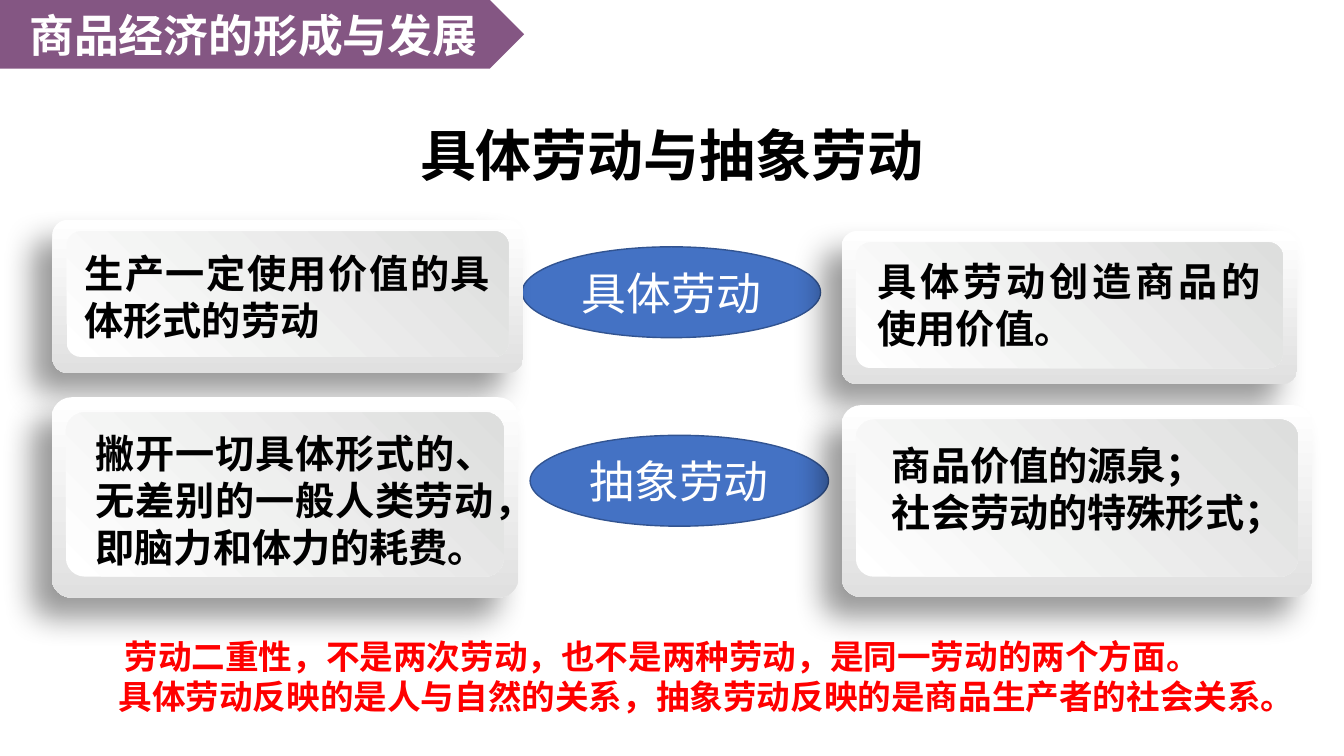
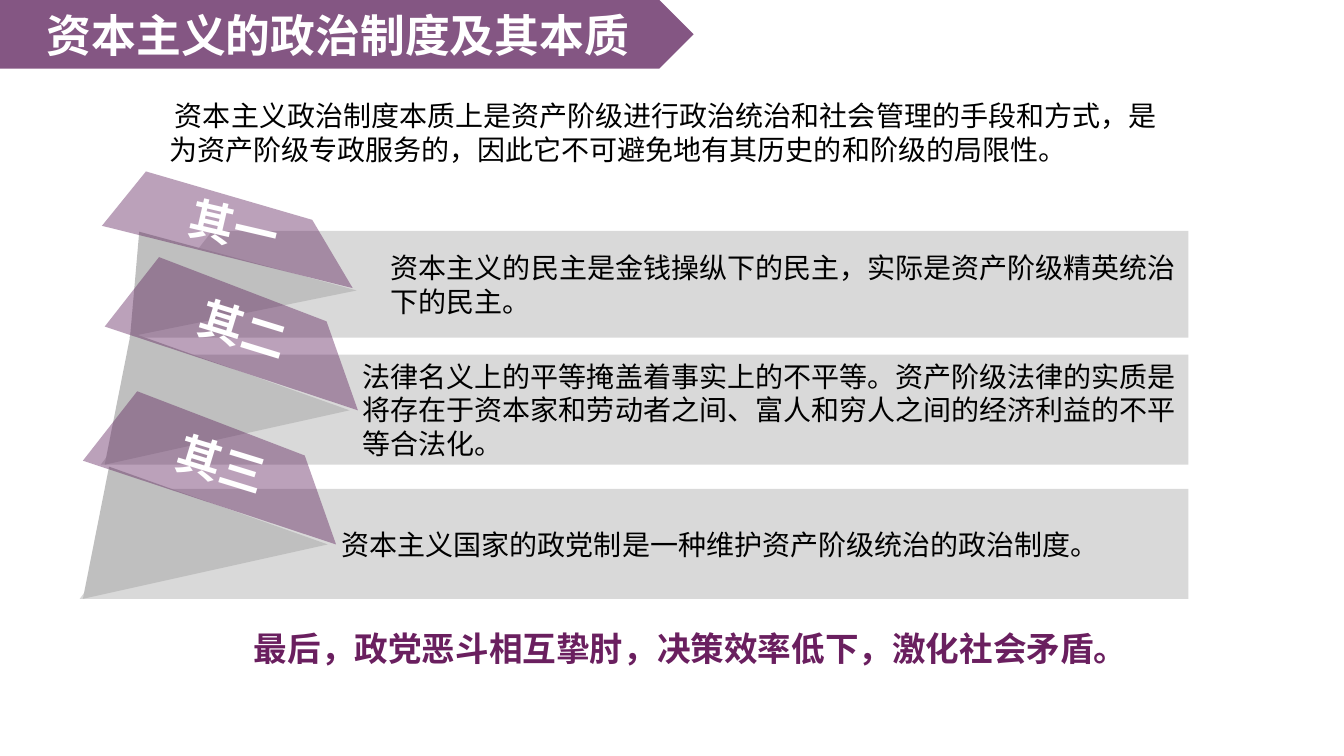
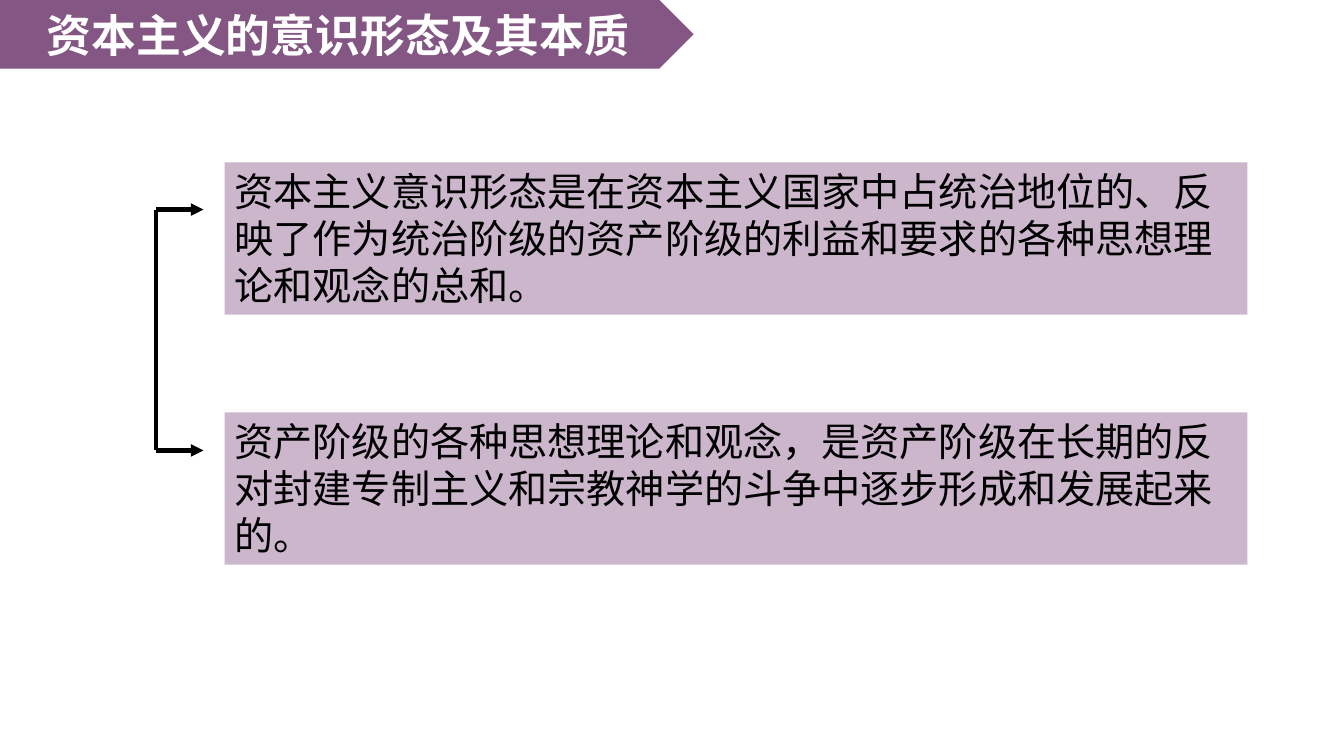
import math
from dataclasses import dataclass
from typing import Optional

import pptx
import pptx.dml.color
import pptx.enum.dml
import pptx.enum.lang
import pptx.enum.shapes
import pptx.enum.text
import pptx.oxml
import pptx.oxml.ns
import pptx.oxml.xmlchemy
import pptx.shapes.autoshape
import pptx.slide
import pptx.util
from pptx.util import Cm

RGBColor = pptx.dml.color.RGBColor
Align = pptx.enum.text.PP_ALIGN
Anchor = pptx.enum.text.MSO_ANCHOR
Preset = pptx.enum.shapes.MSO_SHAPE
Shape = pptx.shapes.autoshape.Shape
Slide = pptx.slide.Slide
Point = tuple[float, float]
qn = pptx.oxml.ns.qn

BLACK = RGBColor(0x00, 0x00, 0x00)
WHITE = RGBColor(0xFF, 0xFF, 0xFF)
RED = RGBColor(0xFF, 0x00, 0x00)
BLUE = RGBColor(0x44, 0x72, 0xC4)
DARK_BLUE = RGBColor(0x32, 0x54, 0x91)
PURPLE = RGBColor(0x5A, 0x1B, 0x58)
MAUVE = RGBColor(0x7F, 0x49, 0x80)
PLUM = RGBColor(0x6A, 0x1F, 0x5F)
PANEL_GRAY = RGBColor(0xD9, 0xD9, 0xD9)
FOLD_GRAY = RGBColor(0xBF, 0xBF, 0xBF)
CARD_EDGE = RGBColor(0xE0, 0xE0, 0xE0)
CARD_FACE = RGBColor(0xDD, 0xDE, 0xDD)

CHINESE_FONT = "Noto Sans CJK SC"
BAND_HEIGHT = 1.73
LINE_FACTOR = 1.2


@dataclass(frozen=True)
class Box:
    """A rectangle in centimetres."""
    left: float
    top: float
    width: float
    height: float

    def lengths(self) -> tuple[Cm, Cm, Cm, Cm]:
        return Cm(self.left), Cm(self.top), Cm(self.width), Cm(self.height)


@dataclass(frozen=True)
class TextStyle:
    size: float
    color: RGBColor = BLACK
    bold: bool = False
    align: Align = Align.LEFT
    font: str = CHINESE_FONT
    multiline: bool = True
    first_indent: float = 0


@dataclass(frozen=True)
class Card:
    outer: Box
    text_box: Box
    paragraphs: tuple[str, ...]
    font: str = CHINESE_FONT


@dataclass(frozen=True)
class Ribbon:
    """A grey panel with a folded purple tag at its left end."""
    label: str
    text: str
    panel_left: float
    panel_top: float
    panel_height: float
    fold: list[Point]
    tag: list[Point]
    angle: float


TITLE = TextStyle(32, WHITE, True, Align.CENTER, multiline=False)
HEADING = TextStyle(40, BLACK, True, Align.CENTER)
OVAL_LABEL = TextStyle(32, WHITE, align=Align.CENTER, multiline=False)
CONCLUSION = TextStyle(24, RED, True)
PANEL_TEXT = TextStyle(20)
INTRODUCTION = TextStyle(20, first_indent=0.15)
CLOSING = TextStyle(24, PLUM, True)
STATEMENT = TextStyle(28, font="Arial")


def write_text(shape: Shape, paragraphs: tuple[str, ...], style: TextStyle) -> None:
    frame = shape.text_frame
    frame.word_wrap = True
    for index, text in enumerate(paragraphs):
        paragraph = frame.paragraphs[0] if index == 0 else frame.add_paragraph()
        paragraph.alignment = style.align
        if style.multiline:
            paragraph.line_spacing = pptx.util.Pt(style.size * LINE_FACTOR)
        if style.first_indent and index == 0:
            paragraph._p.get_or_add_pPr().set("indent", str(Cm(style.first_indent)))
        run = paragraph.add_run()
        run.text = text
        font = run.font
        font.size = pptx.util.Pt(style.size)
        font.bold = style.bold
        font.color.rgb = style.color
        font.name = style.font
        font.language_id = pptx.enum.lang.MSO_LANGUAGE_ID.SIMPLIFIED_CHINESE
        east_asian = pptx.oxml.parse_xml(
            f'<a:ea {pptx.oxml.ns.nsdecls("a")} typeface="{CHINESE_FONT}"/>')
        run._r.rPr.find(qn("a:latin")).addnext(east_asian)


def add_text(slide: Slide, box: Box, paragraphs: tuple[str, ...], style: TextStyle) -> None:
    write_text(slide.shapes.add_textbox(*box.lengths()), paragraphs, style)


def paint(shape: Shape, color: RGBColor, opacity: Optional[int] = None) -> None:
    """Give a plain fill without outline or shadow; opacity is in percent."""
    shape.shadow.inherit = False
    shape.fill.solid()
    shape.fill.fore_color.rgb = color
    shape.line.fill.background()
    if opacity is not None:
        shape.element.spPr.find(".//" + qn("a:srgbClr")).append(pptx.oxml.parse_xml(
            f'<a:alpha {pptx.oxml.ns.nsdecls("a")} val="{opacity * 1000}"/>'))


def paint_gradient(shape: Shape, end: RGBColor, angle: float) -> None:
    shape.shadow.inherit = False
    shape.line.fill.background()
    shape.fill.gradient()
    shape.fill.gradient_angle = angle
    for stop, color in zip(shape.fill.gradient_stops, (WHITE, end)):
        stop.color.rgb = color


def add_title_slide(presentation: pptx.presentation.Presentation, title: str,
                    band_width: float) -> Slide:
    """Add a slide whose title stands on an arrow-shaped band."""
    slide = presentation.slides.add_slide(presentation.slide_layouts[5])
    band = slide.shapes.add_shape(
        Preset.PENTAGON, *Box(0, 0, band_width, BAND_HEIGHT).lengths())
    paint(band, PURPLE, 74)
    placeholder = slide.shapes.title
    placeholder.element.addprevious(band.element)
    text_area = Box(0, 0, band_width - BAND_HEIGHT / 4, BAND_HEIGHT)
    (placeholder.left, placeholder.top,
     placeholder.width, placeholder.height) = text_area.lengths()
    placeholder.text_frame.vertical_anchor = Anchor.MIDDLE
    write_text(placeholder, (title,), TITLE)
    return slide


def add_oval(slide: Slide, left: float, top: float, label: str) -> None:
    oval = slide.shapes.add_shape(Preset.OVAL, *Box(left, top, 7.52, 2.29).lengths())
    paint(oval, BLUE)
    oval.line.color.rgb = DARK_BLUE
    oval.line.width = pptx.util.Pt(1)
    oval.text_frame.vertical_anchor = Anchor.MIDDLE
    write_text(oval, (label,), OVAL_LABEL)


def add_card(slide: Slide, card: Card) -> None:
    """Draw a raised card: shadowed frame, inner face and text."""
    outer = card.outer
    frame = slide.shapes.add_shape(Preset.ROUNDED_RECTANGLE, *outer.lengths())
    frame.adjustments[0] = 0.1
    paint_gradient(frame, CARD_EDGE, 270)
    frame.element.spPr.find(qn("a:effectLst")).append(pptx.oxml.parse_xml(
        f'<a:outerShdw {pptx.oxml.ns.nsdecls("a")} blurRad="{pptx.util.Pt(22)}" '
        f'dist="{pptx.util.Pt(20)}" dir="8100000" algn="tr" rotWithShape="0">'
        '<a:srgbClr val="000000"><a:alpha val="40000"/></a:srgbClr></a:outerShdw>'))
    margin = 0.36
    inner = Box(outer.left + margin, outer.top + 0.075 * outer.height,
                outer.width - 2 * margin, 0.82 * outer.height)
    face = slide.shapes.add_shape(Preset.ROUNDED_RECTANGLE, *inner.lengths())
    face.adjustments[0] = 0.115
    paint_gradient(face, CARD_FACE, 45)
    add_text(slide, card.text_box, card.paragraphs,
             TextStyle(28, BLACK, True, Align.JUSTIFY, card.font))


def add_polygon(slide: Slide, points: list[Point], color: RGBColor,
                opacity: Optional[int] = None) -> Shape:
    corners = [(Cm(x), Cm(y)) for x, y in points]
    builder = slide.shapes.build_freeform(*corners[0])
    builder.add_line_segments(corners[1:], close=True)
    polygon = builder.convert_to_shape()
    paint(polygon, color, opacity)
    return polygon


def rotate(point: Point, degrees: float) -> Point:
    angle = math.radians(degrees)
    x, y = point
    return (x * math.cos(angle) - y * math.sin(angle),
            x * math.sin(angle) + y * math.cos(angle))


def shift(points: list[Point], across: float, down: float) -> list[Point]:
    return [(x + across, y + down) for x, y in points]


def level(points: list[Point], degrees: float) -> list[Point]:
    """Turn points back so that rotating their shape by degrees restores them."""
    turned = [rotate(point, -degrees) for point in points]
    columns, rows = zip(*turned)
    center = ((min(columns) + max(columns)) / 2, (min(rows) + max(rows)) / 2)
    target = rotate(center, degrees)
    return shift(turned, target[0] - center[0], target[1] - center[1])


def add_ribbon(slide: Slide, ribbon: Ribbon) -> None:
    right, slant = 29.95, 2.1
    left, top = ribbon.panel_left, ribbon.panel_top
    bottom = top + ribbon.panel_height
    panel = add_polygon(slide, [(left + slant, top), (right, top),
                                (right, bottom), (left, bottom)], PANEL_GRAY)
    frame = panel.text_frame
    frame.vertical_anchor = Anchor.MIDDLE
    frame.margin_left, frame.margin_right = Cm(6.6), Cm(0.3)
    frame.margin_top = frame.margin_bottom = Cm(0.2)
    write_text(panel, (ribbon.text,), PANEL_TEXT)

    add_polygon(slide, ribbon.fold, FOLD_GRAY)

    tag = add_polygon(slide, level(ribbon.tag, ribbon.angle), PURPLE, 41)
    tag.rotation = ribbon.angle
    frame = tag.text_frame
    frame.vertical_anchor = Anchor.MIDDLE
    frame.margin_left = frame.margin_right = frame.margin_top = frame.margin_bottom = 0
    write_text(tag, (ribbon.label,), TITLE)


def add_line(slide: Slide, start: Point, end: Point, arrow: bool = False) -> None:
    connector = slide.shapes.add_connector(
        pptx.enum.shapes.MSO_CONNECTOR.STRAIGHT,
        Cm(start[0]), Cm(start[1]), Cm(end[0]), Cm(end[1]))
    connector.line.color.rgb = BLACK
    connector.line.width = pptx.util.Pt(3)
    namespace = pptx.oxml.ns.nsdecls("a")
    if arrow:
        connector.line._get_or_add_ln().append(
            pptx.oxml.parse_xml(f'<a:tailEnd {namespace} type="triangle"/>'))
    connector.element.spPr.append(pptx.oxml.parse_xml(f"<a:effectLst {namespace}/>"))


def build_labour_slide(presentation: pptx.presentation.Presentation) -> None:
    slide = add_title_slide(presentation, "商品经济的形成与发展", 13.21)
    add_text(slide, Box(9.93, 2.9, 14, 1.96), ("具体劳动与抽象劳动",), HEADING)
    add_oval(slide, 13.16, 6.22, "具体劳动")
    add_oval(slide, 13.36, 10.97, "抽象劳动")
    cards = (
        Card(Box(1.32, 5.54, 11.86, 3.86), Box(1.88, 6.15, 10.72, 2.64),
             ("生产一定使用价值的具体形式的劳动",)),
        Card(Box(21.21, 5.82, 11.48, 3.86), Box(21.87, 6.35, 10.16, 2.64),
             ("具体劳动创造商品的使用价值。",)),
        Card(Box(1.3, 10.01, 11.76, 5.05), Box(2.16, 10.69, 10.57, 3.84),
             ("撇开一切具体形式的、无差别的一般人类劳动，即脑力和体力的耗费。",)),
        Card(Box(21.21, 10.21, 11.86, 4.83), Box(22.23, 11, 10.49, 2.64),
             ("商品价值的源泉；", "社会劳动的特殊形式；"), "Times New Roman"),
    )
    for card in cards:
        add_card(slide, card)
    add_text(slide, Box(2.74, 15.9, 30.43, 2.31),
             ("劳动二重性，不是两次劳动，也不是两种劳动，是同一劳动的两个方面。",
              "具体劳动反映的是人与自然的关系，抽象劳动反映的是商品生产者的社会关系。"),
             TextStyle(24, RED, True, first_indent=0.15))


def build_politics_slide(presentation: pptx.presentation.Presentation) -> None:
    slide = add_title_slide(presentation, "资本主义的政治制度及其本质", 17.48)
    second_fold = [(8.81, 10.34), (3.3, 8.38), (2.64, 11.71)]
    second_tag = [(4.01, 6.48), (8.23, 8.1), (9.02, 10.34), (2.64, 8.23)]
    third_offset = (-0.55, 3.38)
    ribbons = (
        Ribbon("其一", "资本主义的民主是金钱操纵下的民主，实际是资产阶级精英统治下的民主。",
               3.25, 5.82, 2.69, [(8.99, 7.32), (3.51, 5.84), (3.28, 8.48)],
               [(3.68, 4.32), (7.87, 5.54), (8.89, 7.26), (2.57, 5.69)], 13.2),
        Ribbon("其二", "法律名义上的平等掩盖着事实上的不平等。资产阶级法律的实质是将存在于"
               "资本家和劳动者之间、富人和穷人之间的经济利益的不平等合法化。",
               2.54, 8.94, 2.77, second_fold, second_tag, 17.1),
        Ribbon("其三", "资本主义国家的政党制是一种维护资产阶级统治的政治制度。",
               2.01, 12.32, 2.77, shift(second_fold, *third_offset),
               shift(second_tag, *third_offset), 17.1),
    )
    for ribbon in ribbons:
        add_ribbon(slide, ribbon)
    add_text(slide, Box(4.01, 2.36, 25.93, 1.96),
             ("资本主义政治制度本质上是资产阶级进行政治统治和社会管理的手段和方式，"
              "是为资产阶级专政服务的，因此它不可避免地有其历史的和阶级的局限性。",),
             INTRODUCTION)
    add_text(slide, Box(6.15, 15.7, 22.76, 1.2),
             ("最后，政党恶斗相互挚肘，决策效率低下，激化社会矛盾。",), CLOSING)


def build_ideology_slide(presentation: pptx.presentation.Presentation) -> None:
    slide = add_title_slide(presentation, "资本主义的意识形态及其本质", 17.48)
    statements = (
        (4.09, "资本主义意识形态是在资本主义国家中占统治地位的、反映了作为统治阶级的"
         "资产阶级的利益和要求的各种思想理论和观念的总和。"),
        (10.39, "资产阶级的各种思想理论和观念，是资产阶级在长期的反对封建专制主义和"
         "宗教神学的斗争中逐步形成和发展起来的。"),
    )
    for top, text in statements:
        block = slide.shapes.add_shape(
            Preset.RECTANGLE, *Box(5.66, top, 25.78, 3.84).lengths())
        paint(block, MAUVE, 40)
        block.text_frame.vertical_anchor = Anchor.TOP
        write_text(block, (text,), STATEMENT)
    stem, tip, upper, lower = 3.94, 5.13, 5.28, 11.35
    add_line(slide, (stem, upper), (stem, lower))
    for height in (upper, lower):
        add_line(slide, (stem, height), (tip, height), arrow=True)


def main() -> None:
    presentation = pptx.Presentation()
    presentation.slide_width, presentation.slide_height = Cm(33.87), Cm(19.05)
    build_labour_slide(presentation)
    build_politics_slide(presentation)
    build_ideology_slide(presentation)
    presentation.save("out.pptx")


if __name__ == "__main__":
    main()
